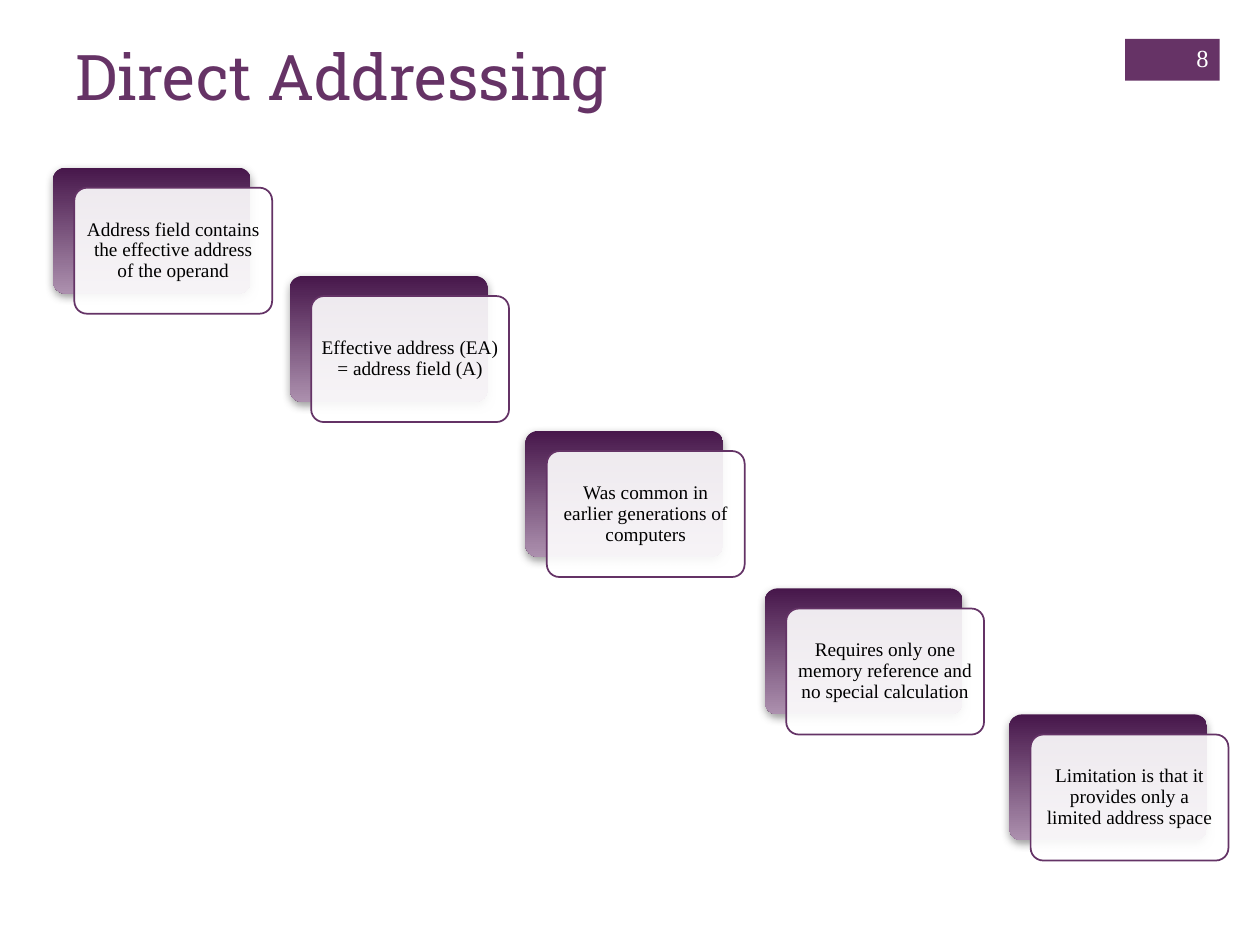
from lxml.etree import SubElement
from pptx import Presentation
from pptx.dml.color import RGBColor
from pptx.enum.shapes import MSO_SHAPE as Shape
from pptx.enum.text import MSO_ANCHOR as Anchor, PP_ALIGN as Align
from pptx.oxml.ns import qn
from pptx.util import Inches, Pt

# Content: left and top of each step's back card, in inches, and its text
TITLE = "Direct Addressing"
PAGE_NUMBER = "8"
STEPS = [
    (0.42, 1.33, "Address field contains the effective address of the operand"),
    (2.30, 2.19, "Effective address (EA) = address field (A)"),
    (4.17, 3.42, "Was common in earlier generations of computers"),
    (6.07, 4.67, "Requires only one memory reference and no special calculation"),
    (8.01, 5.67, "Limitation is that it provides only a limited address space"),
]

# Layout and style
CARD_WIDTH, CARD_HEIGHT = 1.57, 1
OFFSET_X, OFFSET_Y = 0.17, 0.16
TITLE_FONT, BODY_FONT = "Roboto Slab", "Times New Roman"
PURPLE = RGBColor(0x66, 0x33, 0x66)
OUTLINE = RGBColor(0x64, 0x33, 0x66)
DARK_PURPLE = RGBColor(0x47, 0x17, 0x4B)
LIGHT_PURPLE = RGBColor(0xAC, 0x90, 0xAE)
GRAY = RGBColor(0x80, 0x80, 0x80)
WHITE = RGBColor(0xFF, 0xFF, 0xFF)
BLACK = RGBColor(0, 0, 0)


def set_alpha(color_element, percent):
    SubElement(color_element, qn("a:alpha"), val=str(percent * 1000))


def add_box(slide, kind, left, top, width, height):
    shape = slide.shapes.add_shape(
        kind, Inches(left), Inches(top), Inches(width), Inches(height))
    shape.shadow.inherit = False
    shape.line.fill.background()
    return shape


def add_card(slide, left, top):
    card = add_box(slide, Shape.ROUNDED_RECTANGLE, left, top, CARD_WIDTH, CARD_HEIGHT)
    card.adjustments[0] = 0.1
    return card


def add_drop_shadow(shape):
    effects = shape._element.spPr.find(qn("a:effectLst"))
    shadow = SubElement(effects, qn("a:outerShdw"), blurRad=str(Pt(5)),
                        dist=str(Pt(2)), dir="5400000", rotWithShape="0")
    set_alpha(SubElement(shadow, qn("a:srgbClr"), val=str(GRAY)), 75)


def write(shape, text, size, font, color, align, anchor, inset_x=0.1, spacing=None):
    frame = shape.text_frame
    frame.word_wrap = True
    frame.vertical_anchor = anchor
    frame.margin_left = frame.margin_right = Inches(inset_x)
    frame.margin_top = frame.margin_bottom = Inches(0.05)
    paragraph = frame.paragraphs[0]
    paragraph.alignment = align
    paragraph.line_spacing = spacing
    run = paragraph.add_run()
    run.text = text
    run.font.size = Pt(size)
    run.font.name = font
    run.font.color.rgb = color


def add_text(slide, left, top, width, height, *style):
    box = slide.shapes.add_textbox(
        Inches(left), Inches(top), Inches(width), Inches(height))
    write(box, *style)


def add_step(slide, left, top, text):
    # Gradient card behind
    back = add_card(slide, left, top)
    back.fill.gradient()
    back.fill.gradient_angle = 270
    for stop, color, position in zip(
            back.fill.gradient_stops, (DARK_PURPLE, LIGHT_PURPLE), (0, 1)):
        stop.color.rgb = color
        stop.position = position
    add_drop_shadow(back)

    # Translucent card in front, holding the text
    front = add_card(slide, left + OFFSET_X, top + OFFSET_Y)
    front.fill.solid()
    front.fill.fore_color.rgb = WHITE
    set_alpha(front._element.spPr.find(qn("a:solidFill"))[0], 90)
    front.line.color.rgb = OUTLINE
    front.line.width = Pt(1)
    write(front, text, 11, BODY_FONT, BLACK, Align.CENTER, Anchor.MIDDLE, 0.05, 0.9)


def main():
    presentation = Presentation()
    presentation.slide_width, presentation.slide_height = Inches(10), Inches(7.5)
    slide = presentation.slides.add_slide(presentation.slide_layouts[6])

    # Page number block
    block = add_box(slide, Shape.RECTANGLE, 8.93, 0.31, 0.75, 0.33)
    block.fill.solid()
    block.fill.fore_color.rgb = PURPLE

    # Staircase of steps
    for left, top, text in STEPS:
        add_step(slide, left, top, text)

    # Title and page number
    add_text(slide, 0.5, 0.25, 8.26, 1.22,
             TITLE, 36, TITLE_FONT, PURPLE, Align.LEFT, Anchor.TOP)
    add_text(slide, 9.08, 0.26, 0.61, 0.4,
             PAGE_NUMBER, 14, BODY_FONT, WHITE, Align.RIGHT, Anchor.MIDDLE)

    presentation.save("out.pptx")


if __name__ == "__main__":
    main()
